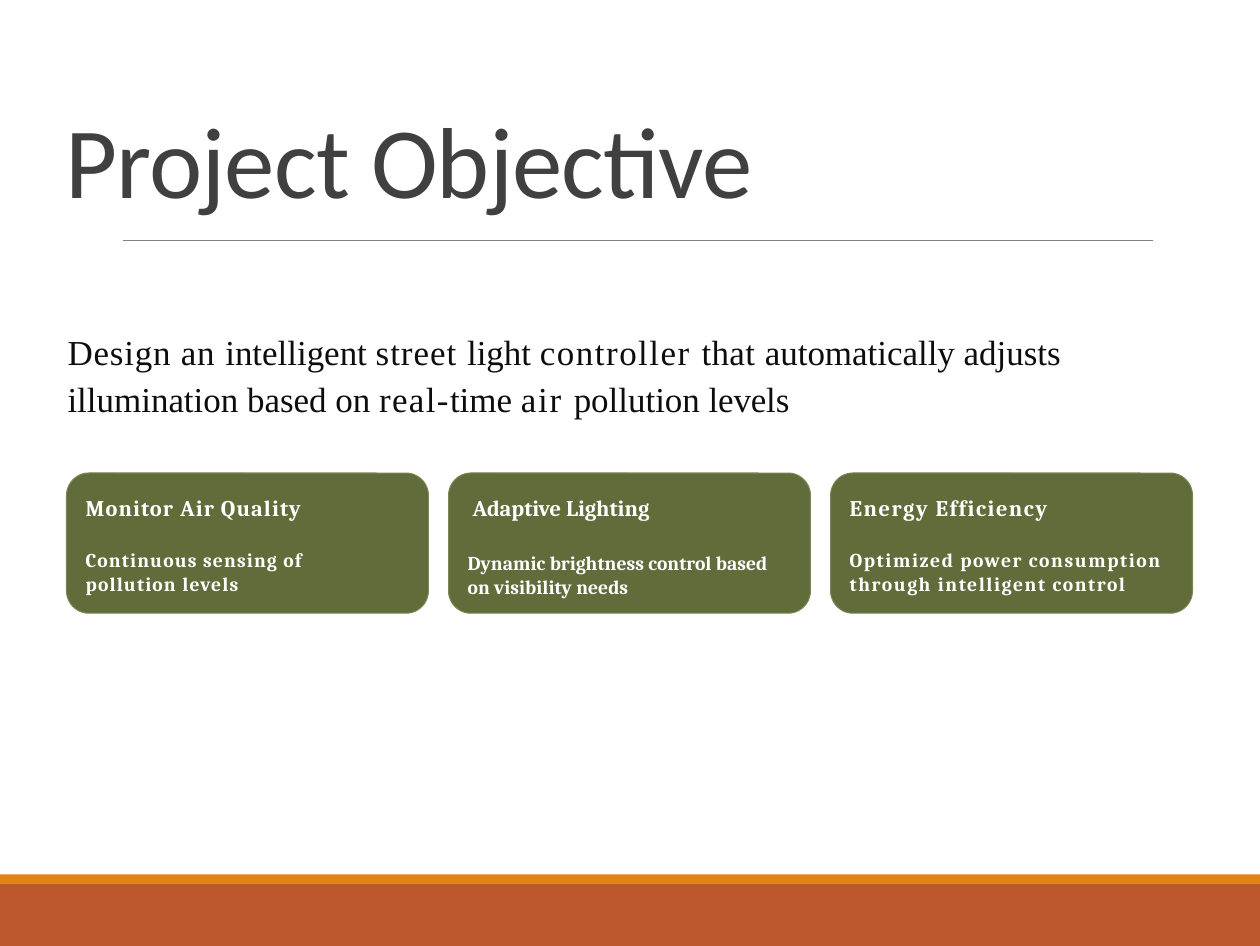
from lxml.etree import SubElement
from pptx import Presentation
from pptx.dml.color import RGBColor
from pptx.enum.shapes import MSO_CONNECTOR, MSO_SHAPE
from pptx.oxml.ns import qn
from pptx.util import Inches, Pt

COLORS = {
    "rust": "BD582C", "orange": "E48312", "rule": "808080", "title": "404040",
    "body": "0D0D0D", "card": "616C3B", "edge": "7B8453", "white": "FFFFFF",
}
FORMATS = {
    "title": {"name": "Calibri", "size": Pt(72), "bold": False},
    "body": {"name": "Times New Roman", "size": Pt(25), "bold": False},
    "head": {"name": "Cambria", "size": Pt(16), "bold": True},
    "note": {"name": "Cambria", "size": Pt(14), "bold": True},
}
# Body words with their letter spacing in points
BODY = [
    ("Design an ", 0.6), ("intelligent ", 0), ("street ", 0.7), ("light ", 0),
    ("controller ", 1.1), ("that ", 0.3),
    ("automatically adjusts illumination based on ", 0), ("real-", 1),
    ("time ", 0), ("air ", 1.3), ("pollution ", 0), ("levels", -0.1),
]
# Heading, note, text width, letter spacing, heading indent, gap in points
CARDS = [
    ("Monitor Air Quality", "Continuous sensing of pollution levels",
     2.82, 0.8, 0, 19.2),
    ("Adaptive Lighting", "Dynamic brightness control based on visibility needs",
     3.02, 0, 0.05, 21.6),
    ("Energy Efficiency", "Optimized power consumption through intelligent control",
     3.24, 1.1, 0, 19.2),
]
LEFT, TOP, WIDTH, HEIGHT, STEP = 0.66, 4.69, 3.59, 1.39, 3.79


def color(key):
    return RGBColor.from_string(COLORS[key])


def add_block(slide, kind, box, fill, edge=None):
    block = slide.shapes.add_shape(kind, *map(Inches, box))
    block.shadow.inherit = False
    block.fill.solid()
    block.fill.fore_color.rgb = color(fill)
    if edge:
        block.line.color.rgb = color(edge)
        block.line.width = Pt(0.75)
    else:
        block.line.fill.background()
    return block


def add_rule(slide, start, end):
    rule = slide.shapes.add_connector(
        MSO_CONNECTOR.STRAIGHT, *map(Inches, start + end))
    rule.line.color.rgb = color("rule")
    rule.line.width = Pt(0.5)
    SubElement(rule._element.spPr, qn("a:effectLst"))


def add_box(slide, box, left, top):
    frame = slide.shapes.add_textbox(*map(Inches, box)).text_frame
    margins = {"left": left, "top": top, "right": 0, "bottom": 0}
    for side, size in margins.items():
        setattr(frame, f"margin_{side}", Inches(size))
    frame.word_wrap = True
    return frame


def add_run(para, text, style, tint, track):
    run = para.add_run()
    run.text = text
    for name, value in FORMATS[style].items():
        setattr(run.font, name, value)
    run.font.color.rgb = color(tint)
    run._r.get_or_add_rPr().set("spc", str(round(track * 100)))


def add_card(slide, left, head, note, width, track, indent, gap):
    card = add_block(slide, MSO_SHAPE.ROUNDED_RECTANGLE,
                     (left, TOP, WIDTH, HEIGHT), "card", "edge")
    card.adjustments[0] = 0.16
    frame = add_box(slide, (left + 0.18, TOP + 0.17, width, 1.02), 0.01, 0.04)
    first = frame.paragraphs[0]
    first._p.get_or_add_pPr().set("marL", str(Inches(indent)))
    add_run(first, head, "head", "white", track)
    second = frame.add_paragraph()
    second.space_before = Pt(gap)
    add_run(second, note, "note", "white", track)


def main():
    deck = Presentation()
    deck.slide_width, deck.slide_height = Inches(12.5), Inches(9.38)
    slide = deck.slides.add_slide(deck.slide_layouts[6])

    # Footer bands and title rule
    add_block(slide, MSO_SHAPE.RECTANGLE, (0, 8.76, 12.5, 0.62), "rust")
    add_block(slide, MSO_SHAPE.RECTANGLE, (0, 8.67, 12.5, 0.09), "orange")
    add_rule(slide, (1.22, 2.38), (11.44, 2.38))

    # Title
    frame = add_box(slide, (0.64, 0.75, 11.22, 1.38), 0.01, 0.22)
    add_run(frame.paragraphs[0], "Project Objective", "title", "title", -0.6)

    # Body
    frame = add_box(slide, (0.67, 3.2, 11.22, 0.93), 0, 0.02)
    para = frame.paragraphs[0]
    para.line_spacing = Pt(33.8)
    for text, track in BODY:
        add_run(para, text, "body", "body", track)

    # Cards
    for index, card in enumerate(CARDS):
        add_card(slide, LEFT + index * STEP, *card)

    deck.save("out.pptx")


if __name__ == "__main__":
    main()
